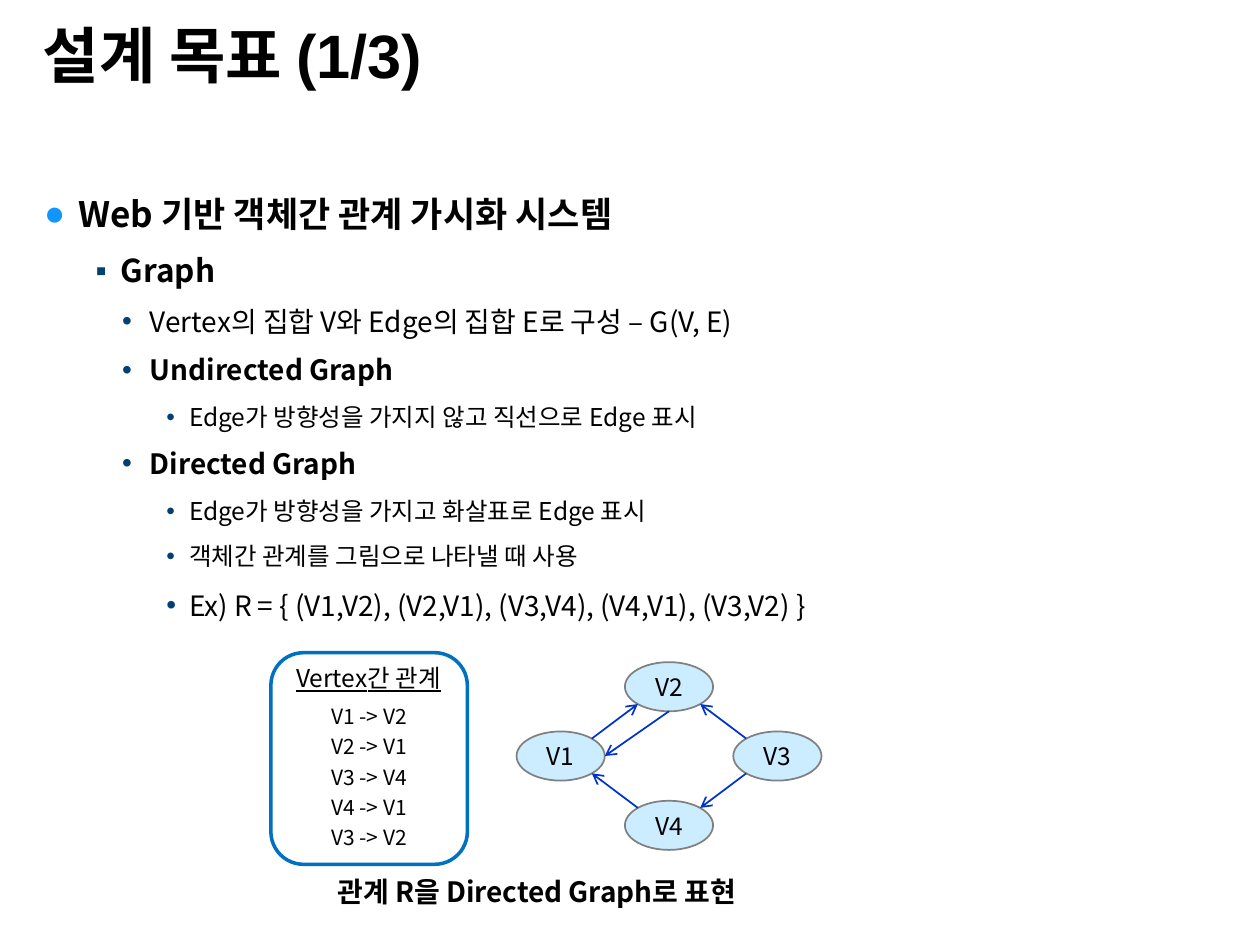
from math import cos, radians, sin

from lxml.etree import SubElement
from pptx import Presentation
from pptx.dml.color import RGBColor
from pptx.enum.shapes import MSO_CONNECTOR, MSO_SHAPE
from pptx.enum.text import MSO_ANCHOR, MSO_AUTO_SIZE, PP_ALIGN
from pptx.oxml.ns import qn
from pptx.util import Inches, Pt

COLORS = {
    "text": "000000", "bullet": "1395FF", "sub_bullet": "004074", "box": "0070C0",
    "vertex": "CCECFF", "vertex_line": "808080", "edge": "0033CC",
}
FONT = "Noto Sans CJK KR"
COLUMNS, ROWS = 100, 75
UNIT = Inches(10) // COLUMNS

# level: (left margin, hanging indent, space before in %, bullet, bullet colour)
LEVELS = {
    1: (0.21, 0.21, 60, "●", "bullet"),
    2: (0.61, 0.20, 30, "▪", "sub_bullet"),
    3: (0.84, 0.22, 30, "•", "sub_bullet"),
    4: (1.15, 0.18, 40, "•", "sub_bullet"),
}
# level, text, size, bold
GOALS = [
    (1, " Web 기반 객체간 관계 가시화 시스템", 20, True),
    (2, "Graph", 18, True),
    (3, "Vertex의 집합 V와 Edge의 집합 E로 구성 – G(V, E)", 16, False),
    (3, "Undirected Graph", 16, True),
    (4, "Edge가 방향성을 가지지 않고 직선으로 Edge 표시", 14, False),
    (3, "Directed Graph", 16, True),
    (4, "Edge가 방향성을 가지고 화살표로 Edge 표시", 14, False),
    (4, "객체간 관계를 그림으로 나타낼 때 사용", 14, False),
    (4, "Ex) R = { (V1,V2), (V2,V1), (V3,V4), (V4,V1), (V3,V2) }", 16, False),
]
RELATIONS = [("V1", "V2"), ("V2", "V1"), ("V3", "V4"), ("V4", "V1"), ("V3", "V2")]

# vertex centres as (column, row)
VERTICES = {"V1": (44.5, 60), "V2": (53.1, 54.5), "V3": (61.7, 60), "V4": (53.1, 65.5)}
VERTEX_WIDTH, VERTEX_HEIGHT = 7, 3.9
# angles, clockwise from the right, where each edge leaves and enters
EDGE_ANGLES = [(-45, 135), (90, 0), (135, -45), (-135, 45), (-135, 45)]


def grid(*cells):
    return [round(cell * UNIT) for cell in cells]


def color(name):
    return RGBColor.from_string(COLORS[name])


def add_run(paragraph, text, size, bold=False, underline=False, font=FONT):
    run = paragraph.add_run()
    run.text = text
    run.font.size = Pt(size)
    run.font.bold = bold
    run.font.underline = underline
    run.font.name = font
    run.font.color.rgb = color("text")
    SubElement(run.font._element, qn("a:ea"), typeface=FONT)


def format_level(paragraph, level):
    margin, hanging, before, bullet, bullet_color = LEVELS[level]
    paragraph.level = level - 1
    paragraph.line_spacing = 1.2
    properties = paragraph._p.get_or_add_pPr()
    properties.set("marL", str(Inches(margin)))
    properties.set("indent", str(-Inches(hanging)))
    spacing = SubElement(properties, qn("a:spcBef"))
    SubElement(spacing, qn("a:spcPct"), val=str(before * 1000))
    fill = SubElement(properties, qn("a:buClr"))
    SubElement(fill, qn("a:srgbClr"), val=COLORS[bullet_color])
    SubElement(properties, qn("a:buFont"), typeface="Arial")
    SubElement(properties, qn("a:buChar"), char=bullet)


def place_placeholder(placeholder, *cells):
    placeholder.left, placeholder.top, placeholder.width, placeholder.height = grid(*cells)
    frame = placeholder.text_frame
    frame.margin_left = frame.margin_right = 0
    frame.auto_size = MSO_AUTO_SIZE.NONE
    return frame


def fill_title(slide):
    frame = place_placeholder(slide.shapes.title, 3.4, 1.3, 60.6, 6.6)
    frame.vertical_anchor = MSO_ANCHOR.MIDDLE
    paragraph = frame.paragraphs[0]
    paragraph.alignment = PP_ALIGN.LEFT
    paragraph.line_spacing = 0.95
    add_run(paragraph, "설계 목표 (1/3)", 35, bold=True, font="Arial")


def fill_goals(slide):
    frame = place_placeholder(slide.placeholders[1], 3.5, 14.1, 95.1, 46.4)
    for index, (level, text, size, bold) in enumerate(GOALS):
        paragraph = frame.add_paragraph() if index else frame.paragraphs[0]
        format_level(paragraph, level)
        add_run(paragraph, text, size, bold)


def add_label(shapes, cells, text, size, **style):
    frame = shapes.add_textbox(*grid(*cells)).text_frame
    frame.word_wrap = True
    paragraph = frame.paragraphs[0]
    paragraph.alignment = PP_ALIGN.CENTER
    add_run(paragraph, text, size, **style)


def add_outlined_shape(shapes, kind, cells, line, width, fill=None):
    shape = shapes.add_shape(kind, *grid(*cells))
    shape.shadow.inherit = False
    shape.line.color.rgb = color(line)
    shape.line.width = Pt(width)
    if fill:
        shape.fill.solid()
        shape.fill.fore_color.rgb = color(fill)
    else:
        shape.fill.background()
    return shape


def add_relation_box(slide):
    shapes = slide.shapes.add_group_shape().shapes
    box = add_outlined_shape(shapes, MSO_SHAPE.ROUNDED_RECTANGLE,
                             (21.5, 51.8, 15.6, 16.8), "box", 2)
    frame = box.text_frame
    frame.vertical_anchor = MSO_ANCHOR.BOTTOM
    frame.margin_bottom = Inches(0.04)
    for index, (start, end) in enumerate(RELATIONS):
        paragraph = frame.add_paragraph() if index else frame.paragraphs[0]
        paragraph.alignment = PP_ALIGN.CENTER
        paragraph.line_spacing = 1.2
        add_run(paragraph, f"{start} -> {end}", 12)
    add_label(shapes, (20.7, 52.1, 17.1, 3.4), "Vertex간 관계", 14, underline=True)


def add_vertex(slide, name):
    column, row = VERTICES[name]
    cells = (column - VERTEX_WIDTH / 2, row - VERTEX_HEIGHT / 2, VERTEX_WIDTH, VERTEX_HEIGHT)
    vertex = add_outlined_shape(slide.shapes, MSO_SHAPE.OVAL, cells, "vertex_line", 1, "vertex")
    frame = vertex.text_frame
    frame.margin_left = frame.margin_right = 0
    frame.vertical_anchor = MSO_ANCHOR.MIDDLE
    frame.paragraphs[0].alignment = PP_ALIGN.CENTER
    add_run(frame.paragraphs[0], name, 14)


def rim_point(name, angle):
    """Point on the outline of a vertex, in grid cells."""
    column, row = VERTICES[name]
    return (column + VERTEX_WIDTH / 2 * cos(radians(angle)),
            row + VERTEX_HEIGHT / 2 * sin(radians(angle)))


def add_edge(slide, relation, angles):
    start, end = map(rim_point, relation, angles)
    edge = slide.shapes.add_connector(MSO_CONNECTOR.STRAIGHT, *grid(*start, *end))
    edge.line.color.rgb = color("edge")
    edge.line.width = Pt(1)
    SubElement(edge.line._get_or_add_ln(), qn("a:tailEnd"), type="arrow")
    SubElement(edge._element.spPr, qn("a:effectLst"))


def main():
    presentation = Presentation()
    presentation.slide_width, presentation.slide_height = grid(COLUMNS, ROWS)
    slide = presentation.slides.add_slide(presentation.slide_layouts[1])
    fill_title(slide)
    fill_goals(slide)
    add_relation_box(slide)
    add_label(slide.shapes, (18.4, 68.9, 48.4, 3.7),
              "관계 R을 Directed Graph로 표현", 16, bold=True)
    for name in VERTICES:
        add_vertex(slide, name)
    for relation, angles in zip(RELATIONS, EDGE_ANGLES):
        add_edge(slide, relation, angles)
    presentation.save("out.pptx")


if __name__ == "__main__":
    main()
